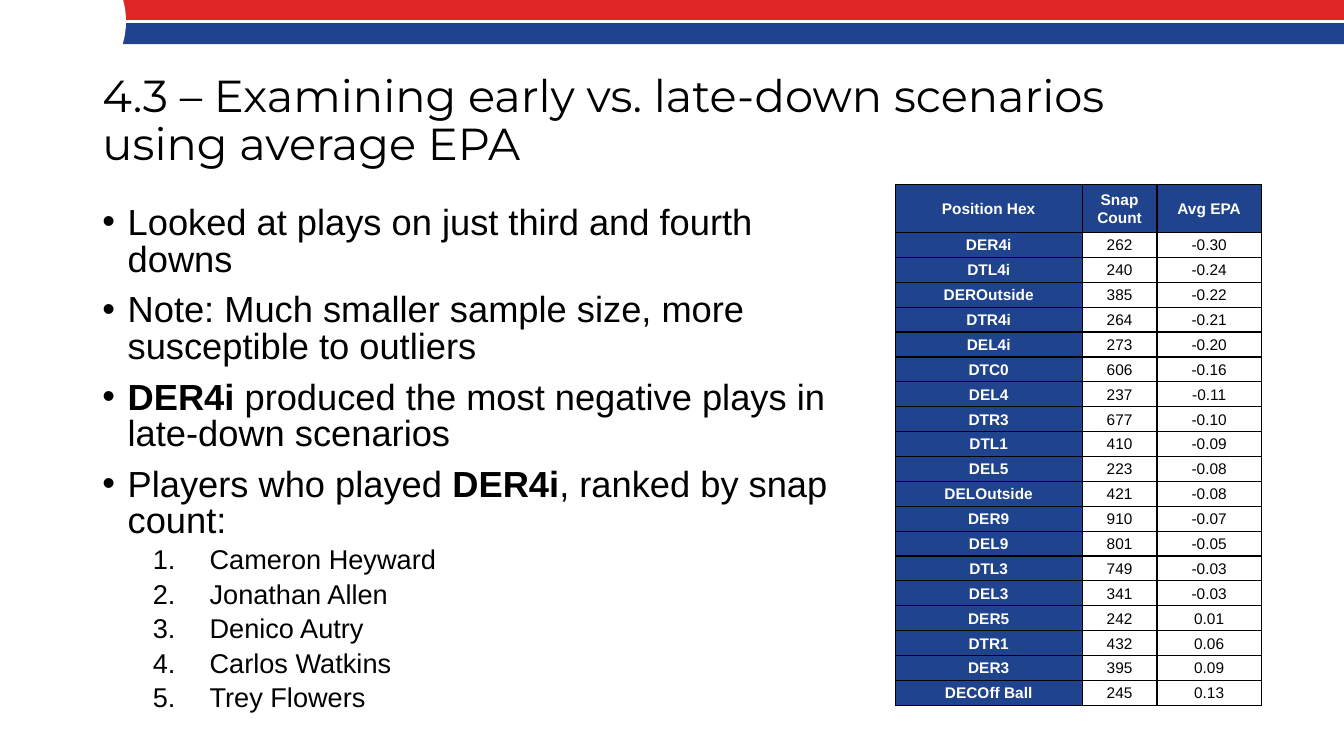
from lxml.etree import SubElement
from pptx import Presentation
from pptx.dml.color import RGBColor
from pptx.enum.shapes import MSO_CONNECTOR, MSO_SHAPE
from pptx.enum.text import MSO_ANCHOR, MSO_AUTO_SIZE, PP_ALIGN
from pptx.oxml import parse_xml
from pptx.oxml.ns import nsdecls, qn
from pptx.util import Pt

COLORS = {"red": "E02624", "navy": "1F438C", "white": "FFFFFF", "black": "000000"}

TITLE = "4.3 – Examining early vs. late-down scenarios using average EPA"
FINDINGS = [
    [("Looked at plays on just third and fourth downs", False)],
    [("Note: Much smaller sample size, more susceptible to outliers", False)],
    [("DER4i", True), (" produced the most negative plays in late-down scenarios", False)],
    [("Players who played ", False), ("DER4i", True), (", ranked by snap count:", False)],
]
PLAYERS = ["Cameron Heyward", "Jonathan Allen", "Denico Autry", "Carlos Watkins", "Trey Flowers"]
EPA_HEADER = ("Position Hex", "Snap\vCount", "Avg EPA")
EPA_ROWS = [
    ("DER4i", 262, -0.30), ("DTL4i", 240, -0.24), ("DEROutside", 385, -0.22),
    ("DTR4i", 264, -0.21), ("DEL4i", 273, -0.20), ("DTC0", 606, -0.16),
    ("DEL4", 237, -0.11), ("DTR3", 677, -0.10), ("DTL1", 410, -0.09),
    ("DEL5", 223, -0.08), ("DELOutside", 421, -0.08), ("DER9", 910, -0.07),
    ("DEL9", 801, -0.05), ("DTL3", 749, -0.03), ("DEL3", 341, -0.03),
    ("DER5", 242, 0.01), ("DTR1", 432, 0.06), ("DER3", 395, 0.09),
    ("DECOff Ball", 245, 0.13),
]
FINDING = {"level": 0, "size": 25.9, "before": 10, "margin": 18, "hanging": 18,
           "bullet": ("a:buChar", {"char": "•"})}
PLAYER = {"level": 1, "size": 19.4, "before": 5, "margin": 76.5, "hanging": 40.5,
          "bullet": ("a:buAutoNum", {"type": "arabicPeriod"})}


def assign(target, values):
    for attribute, value in values.items():
        setattr(target, attribute, value)


def color(name):
    return RGBColor.from_string(COLORS[name])


class SlideBuilder:
    heading_font = "Montserrat"
    body_font = "Arial"

    def __init__(self, slide):
        self.slide = slide

    def style(self, font, name, size, tint="black", bold=False):
        assign(font, {"name": name, "size": Pt(size), "bold": bold})
        font.color.rgb = color(tint)

    def shape(self, preset, box, fill):
        shape = self.slide.shapes.add_shape(preset, *map(Pt, box))
        shape.shadow.inherit = False
        shape.fill.solid()
        shape.fill.fore_color.rgb = color(fill)
        shape.line.fill.background()

    def line(self, start, end, tint, width):
        line = self.slide.shapes.add_connector(MSO_CONNECTOR.STRAIGHT, *map(Pt, start + end))
        line.line.color.rgb = color(tint)
        line.line.width = Pt(width)
        SubElement(line.element.spPr, qn("a:effectLst"))

    def placeholder(self, holder, box, frame_format):
        assign(holder, dict(zip(("left", "top", "width", "height"), map(Pt, box))))
        holder.element.getparent().append(holder.element)
        assign(holder.text_frame, {"word_wrap": True, "auto_size": MSO_AUTO_SIZE.NONE,
                                   **frame_format})
        return holder.text_frame

    def title(self, text, box):
        frame = self.placeholder(self.slide.shapes.title, box, {
            "vertical_anchor": MSO_ANCHOR.MIDDLE, "margin_right": Pt(20)})
        heading = frame.paragraphs[0]
        assign(heading, {"alignment": PP_ALIGN.LEFT, "line_spacing": 0.9})
        run = heading.add_run()
        run.text = text
        self.style(run.font, self.heading_font, 32)

    def bullets(self, items, box):
        frame = self.placeholder(self.slide.placeholders[1], box,
                                 {"vertical_anchor": MSO_ANCHOR.TOP})
        for index, (runs, kind) in enumerate(items):
            item = frame.add_paragraph() if index else frame.paragraphs[0]
            assign(item, {"level": kind["level"], "line_spacing": 0.84,
                          "space_before": Pt(kind["before"]), "space_after": Pt(0)})
            properties = item._p.get_or_add_pPr()
            properties.set("marL", str(Pt(kind["margin"])))
            properties.set("indent", str(-Pt(kind["hanging"])))
            SubElement(properties, qn("a:buFont"), typeface=self.body_font)
            tag, options = kind["bullet"]
            SubElement(properties, qn(tag), **options)
            for text, bold in runs:
                run = item.add_run()
                run.text = text
                self.style(run.font, self.body_font, kind["size"], bold=bold)

    def cell(self, cell, text, emphasized):
        assign(cell, {"text": text, "vertical_anchor": MSO_ANCHOR.MIDDLE,
                      "margin_left": Pt(5), "margin_right": Pt(5),
                      "margin_top": 0, "margin_bottom": 0})
        entry = cell.text_frame.paragraphs[0]
        assign(entry, {"alignment": PP_ALIGN.CENTER, "line_spacing": 1.07})
        for run in entry.runs:
            self.style(run.font, self.body_font, 11,
                       "white" if emphasized else "black", emphasized)
        properties = cell._tc.get_or_add_tcPr()
        for side in "LRTB":
            properties.append(parse_xml(
                f'<a:ln{side} {nsdecls("a")} w="{Pt(1)}"><a:solidFill>'
                f'<a:srgbClr val="{COLORS["black"]}"/></a:solidFill></a:ln{side}>'))
        if emphasized:
            cell.fill.solid()
            cell.fill.fore_color.rgb = color("navy")
        else:
            cell.fill.background()

    def table(self, rows, origin, widths, heights):
        frame = self.slide.shapes.add_table(len(rows), len(widths), *map(
            Pt, (*origin, sum(widths), sum(heights))))
        table = frame.table
        assign(table, {"first_row": False, "horz_banding": False})
        for column, width in zip(table.columns, widths):
            column.width = Pt(width)
        for row, height in zip(table.rows, heights):
            row.height = Pt(height)
        for r, values in enumerate(rows):
            for c, text in enumerate(values):
                self.cell(table.cell(r, c), text, r == 0 or c == 0)


presentation = Presentation()
assign(presentation, {"slide_width": Pt(960), "slide_height": Pt(540)})
builder = SlideBuilder(presentation.slides.add_slide(presentation.slide_layouts[1]))

builder.shape(MSO_SHAPE.RECTANGLE, (50, -1.5, 910, 22.5), "red")
builder.shape(MSO_SHAPE.RECTANGLE, (50, 15.5, 910, 16), "navy")
builder.shape(MSO_SHAPE.OVAL, (-24.5, -42, 114.5, 114.5), "white")
builder.line((90, 15.5), (960, 15.5), "white", 2.25)

builder.title(TITLE, (66, 35, 828, 104.5))
builder.bullets([(runs, FINDING) for runs in FINDINGS]
                + [([(player, False)], PLAYER) for player in PLAYERS],
                (66, 144, 554, 361))
epa_cells = [(position, str(snaps), f"{epa:.2f}") for position, snaps, epa in EPA_ROWS]
builder.table([EPA_HEADER] + epa_cells, (639.5, 131.5), (133.5, 53.5, 74.5),
              [34.6] + [17.8] * len(epa_cells))

presentation.save("out.pptx")
